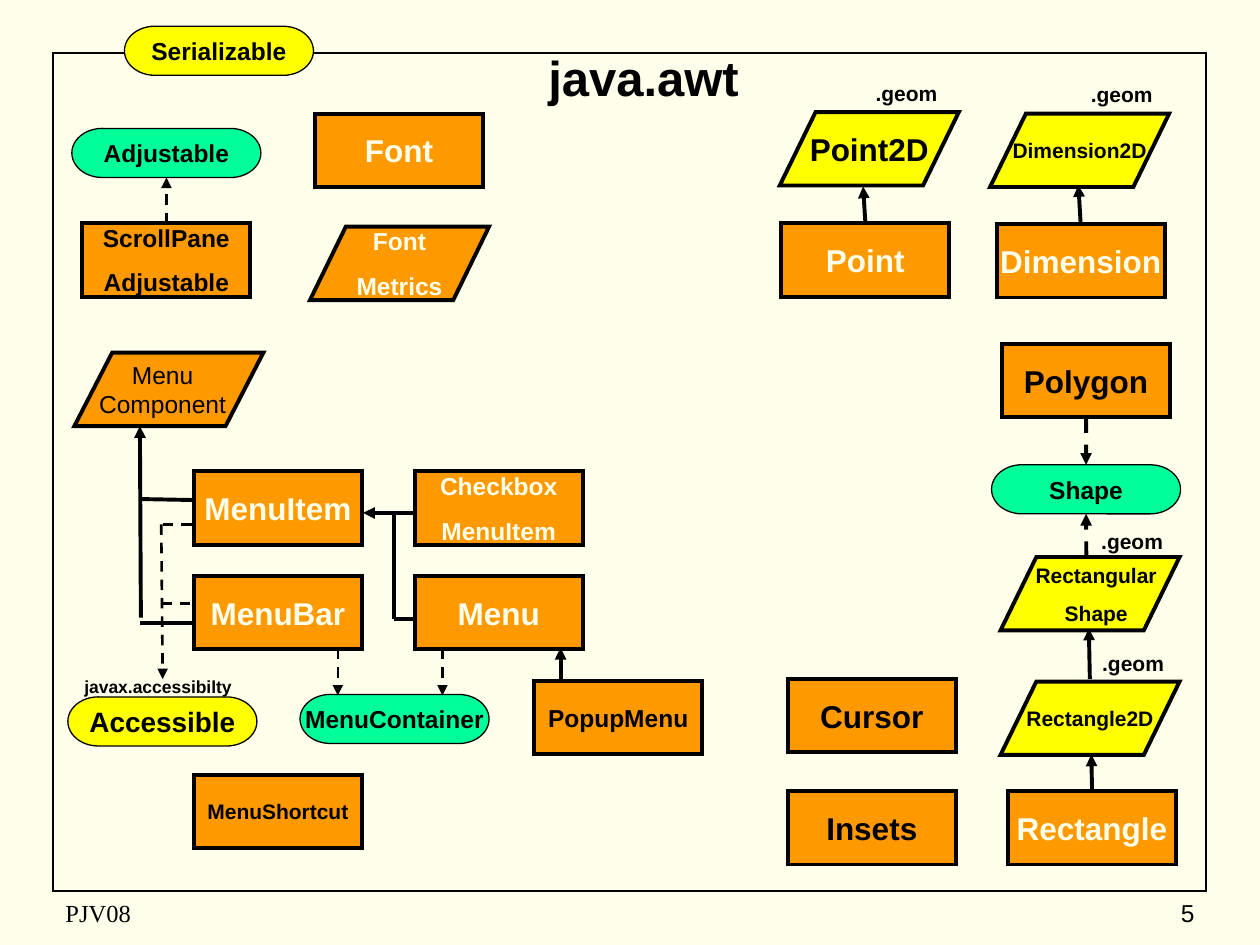
from dataclasses import dataclass
from typing import Optional, Union

from lxml import etree
from pptx import Presentation
from pptx.dml.color import RGBColor
from pptx.enum import dml, shapes, text
from pptx.oxml.ns import qn
from pptx.util import Cm, Pt

INK, CREAM = "000000", "FFFFEB"
ORANGE, YELLOW, GREEN = "FF9900", "FFFF00", "00FF99"
KIND = shapes.MSO_SHAPE
BOX, SKEW, PILL = KIND.RECTANGLE, KIND.FLOWCHART_DATA, KIND.FLOWCHART_TERMINATOR
SIZES = {BOX: (3.39, 1.48), SKEW: (3.61, 1.48), PILL: (3.81, 0.99)}
LEFT, MID, RIGHT = text.PP_ALIGN.LEFT, text.PP_ALIGN.CENTER, text.PP_ALIGN.RIGHT
TOP, BOTTOM = 0, 2
INSET = 0.25


@dataclass
class Node:
    name: str
    kind: int
    x: float
    y: float
    size: int = 18
    ink: str = INK
    fill: str = ORANGE
    bold: bool = True
    gap: float = 0.62
    wide: Optional[float] = None
    left: float = INSET
    right: float = INSET


@dataclass
class Label:
    words: str
    x: float
    y: float
    w: float
    h: float
    size: int
    bold: bool = True
    align: int = LEFT
    font: str = "Arial"
    anchor: int = text.MSO_ANCHOR.TOP


End = Union[tuple[float, float], tuple[str, int]]  # a point, or node and side


@dataclass
class Link:
    tail: End
    head: End
    arrow: bool = True
    dash: bool = False
    width: float = 2.25


NODES = [
    Node("Point", BOX, 15.75, 4.5, ink=CREAM),
    Node("Font", BOX, 6.35, 2.29, ink=CREAM),
    Node("Insets", BOX, 15.88, 15.95),
    Node("Rectangle", BOX, 20.32, 15.95, ink=CREAM),
    Node("Polygon", BOX, 20.2, 6.93),
    Node("Dimension", BOX, 20.09, 4.52, ink=CREAM),
    Node("MenuBar", BOX, 3.91, 11.61, ink=CREAM),
    Node("Menu", BOX, 8.36, 11.61, ink=CREAM),
    Node("MenuItem", BOX, 3.91, 9.5, ink=CREAM),
    Node("Checkbox\nMenuItem", BOX, 8.36, 9.5, 14, CREAM),
    Node("PopupMenu", BOX, 10.77, 13.72, 14),
    Node("Cursor", BOX, 15.88, 13.69),
    Node("ScrollPane\nAdjustable", BOX, 1.66, 4.5, 14),
    Node("MenuShortcut", BOX, 3.91, 15.62, 12),
    Node("Menu\nComponent", SKEW, 1.5, 7.11, 14, bold=False, gap=0,
         wide=3.81, right=0.5),
    Node("Font\nMetrics", SKEW, 6.25, 4.57, 14, CREAM),
    Node("Rectangle2D", SKEW, 20.17, 13.74, 12, fill=YELLOW),
    Node("Rectangular\nShape", SKEW, 20.17, 11.23, 12, fill=YELLOW, left=0.5),
    Node("Point2D", SKEW, 15.72, 2.26, fill=YELLOW),
    Node("Dimension2D", SKEW, 19.96, 2.29, 12, fill=YELLOW),
    Node("MenuContainer", PILL, 6.05, 14, 14, fill=GREEN),
    Node("Shape", PILL, 19.99, 9.37, 14, fill=GREEN),
    Node("Adjustable", PILL, 1.45, 2.59, 14, fill=GREEN),
    Node("Serializable", PILL, 2.51, 0.53, 14, fill=YELLOW),
    Node("Accessible", PILL, 1.37, 14.05, 16, fill=YELLOW),
]

LINKS = [
    Link((11.3, 13.72), (11.3, 13.06)),
    Link((7.95, 10.34), (7.95, 12.47), arrow=False),
    Link((8.36, 10.34), (7.32, 10.34)),
    Link((7.95, 12.47), (8.36, 12.47), arrow=False),
    Link((2.82, 10.06), (3.91, 10.08), arrow=False),
    Link((2.84, 12.45), (2.82, 8.59)),
    Link((2.82, 12.55), (3.91, 12.55), arrow=False),
    Link((6.81, 13.08), (6.81, 14.02), dash=True, width=1.5),
    Link((8.92, 13.08), (8.92, 14.02), dash=True, width=1.5),
    Link(("Polygon", BOTTOM), ("Shape", TOP), dash=True),
    Link((21.9, 11.23), ("Shape", BOTTOM), dash=True),
    Link(("ScrollPane\nAdjustable", TOP), ("Adjustable", BOTTOM),
         dash=True, width=1.5),
    Link(("Rectangle", TOP), (22, 15.21)),
    Link((21.97, 13.69), (21.95, 12.67)),
    Link(("Point", TOP), (17.4, 3.76)),
    Link(("Dimension", TOP), (21.74, 3.73)),
    Link((3.25, 10.57), (3.28, 13.69), dash=True, width=1.5),
    Link((3.28, 10.57), (3.91, 10.57), arrow=False, dash=True, width=1.5),
    Link((3.25, 12.17), (3.89, 12.17), arrow=False, dash=True, width=1.5),
]

CENTRE = text.MSO_ANCHOR.MIDDLE
LABELS = [
    Label("java.awt", 9.8, 0.81, 6.35, 1.47, 28, align=MID, anchor=CENTRE),
    *(Label(".geom", x, y, 2.34, 0.76, 12) for x, y in
      [(21.95, 10.54), (21.74, 1.52), (17.4, 1.5), (21.97, 12.98)]),
    Label("javax.accessibilty", 1.45, 13.51, 3.73, 0.69, 10),
    Label("PJV08", 1.07, 17.98, 8.03, 0.84, 14, False,
          font="Times New Roman", anchor=CENTRE),
    Label("5", 19.05, 17.98, 5.28, 0.84, 14, False, RIGHT, anchor=CENTRE),
]


def color(code: str) -> RGBColor:
    return RGBColor.from_string(code)


def style(para, size: int, bold: bool, ink: str, align: int,
          face: str = "Arial") -> None:
    para.alignment = align
    font = para.font
    font.name, font.size, font.bold = face, Pt(size), bold
    font.color.rgb = color(ink)


def outline(line, width: float) -> None:
    """Give a line its ink, its width and sharp corners."""
    line.color.rgb = color(INK)
    line.width = Pt(width)
    etree.SubElement(line._get_or_add_ln(), qn("a:miter"), lim="800000")


def draw_frame(slide) -> None:
    frame = slide.shapes.add_shape(BOX, Cm(1.07), Cm(1.07), Cm(23.24), Cm(16.89))
    frame.shadow.inherit = False
    frame.fill.background()
    outline(frame.line, 1)


def draw_node(slide, node: Node):
    wide, high = SIZES[node.kind]
    shape = slide.shapes.add_shape(node.kind, Cm(node.x), Cm(node.y),
                                   Cm(node.wide or wide), Cm(high))
    shape.shadow.inherit = False
    shape.fill.solid()
    shape.fill.fore_color.rgb = color(node.fill)
    outline(shape.line, 0.75 if node.kind == PILL else 2.25)
    frame = shape.text_frame
    frame.word_wrap = False
    frame.vertical_anchor = CENTRE
    frame.margin_left, frame.margin_right = Cm(node.left), Cm(node.right)
    frame.text = node.name
    for row, para in enumerate(frame.paragraphs):
        style(para, node.size, node.bold, node.ink, MID)
        if row:
            para.space_before = Pt(node.gap * node.size)
    return shape


def draw_label(slide, label: Label) -> None:
    box = slide.shapes.add_textbox(Cm(label.x), Cm(label.y),
                                   Cm(label.w), Cm(label.h))
    frame = box.text_frame
    frame.word_wrap = True
    frame.vertical_anchor = label.anchor
    frame.text = label.words
    style(frame.paragraphs[0], label.size, label.bold, INK, label.align, label.font)


def draw_link(slide, link: Link, drawn: dict) -> None:
    line = slide.shapes.add_connector(shapes.MSO_CONNECTOR.STRAIGHT, 0, 0, 0, 0)
    for end, axes, join in (
            (link.tail, ("begin_x", "begin_y"), line.begin_connect),
            (link.head, ("end_x", "end_y"), line.end_connect)):
        if isinstance(end[0], str):
            join(drawn[end[0]], end[1])
        else:
            for axis, value in zip(axes, end):
                setattr(line, axis, Cm(value))
    outline(line.line, link.width)
    if link.dash:
        line.line.dash_style = dml.MSO_LINE.DASH
    if link.arrow:
        etree.SubElement(line.line._get_or_add_ln(), qn("a:tailEnd"),
                         type="triangle")
    etree.SubElement(line._element.spPr, qn("a:effectLst"))


def main() -> None:
    deck = Presentation()
    deck.slide_width, deck.slide_height = Cm(25.4), Cm(19.05)
    slide = deck.slides.add_slide(deck.slide_layouts[6])
    slide.background.fill.solid()
    slide.background.fill.fore_color.rgb = color(CREAM)
    draw_frame(slide)
    drawn = {node.name: draw_node(slide, node) for node in NODES}
    for link in LINKS:
        draw_link(slide, link, drawn)
    for label in LABELS:
        draw_label(slide, label)
    deck.save("out.pptx")


if __name__ == "__main__":
    main()
